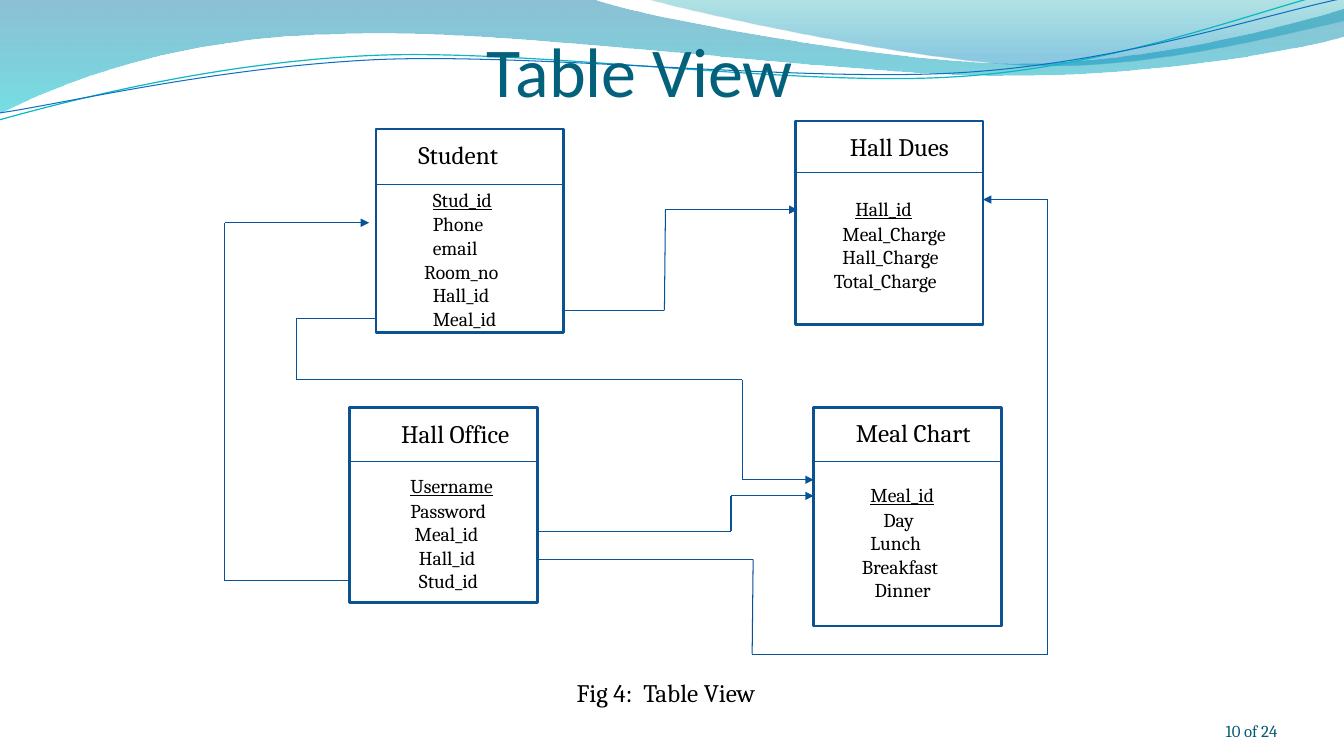
from itertools import pairwise

from lxml.etree import SubElement
from pptx import Presentation
from pptx.dml.color import RGBColor
from pptx.enum.shapes import MSO_CONNECTOR, MSO_SHAPE
from pptx.enum.text import MSO_ANCHOR, MSO_AUTO_SIZE, PP_ALIGN
from pptx.oxml.ns import qn
from pptx.util import Cm, Pt

COLORS = {"title": "04617B", "page": "045D75", "text": "000000",
          "box": "0B5292", "line": "095295", "teal": "0AB8BF", "blue": "0F6FC6",
          "deep": "0074A1", "aqua": "00C6CF", "lagoon": "00A1A9", "sky": "008BBF"}
SPACE = 0.0425  # indent step in inches


def inch(value):
    return Cm(value * 2.54)


class SlideBuilder:
    def __init__(self, deck, layout):
        self.slide = deck.slides.add_slide(deck.slide_layouts[layout])
        self.shapes = self.slide.shapes

    def color(self, name):
        return RGBColor.from_string(COLORS[name])

    def outline(self, shape, color, width):
        shape.line.color.rgb = self.color(color)
        shape.line.width = Pt(width)

    def wave(self, start, segments, line=None, width=0.75, stops=None):
        """Segments hold two numbers for a line, six for a cubic curve."""
        points = [(inch(x), inch(y)) for segment in segments
                  for x, y in zip(segment[::2], segment[1::2])]
        builder = self.shapes.build_freeform(*map(inch, start))
        builder.add_line_segments(points, close=bool(stops))
        shape = builder.convert_to_shape()
        shape.shadow.inherit = False
        steps = iter(list(shape.element.iter(qn("a:lnTo"))))
        for segment in segments:
            curve = next(steps)
            if len(segment) == 6:
                curve.tag = qn("a:cubicBezTo")
                for _ in range(2):
                    extra = next(steps)
                    curve.append(extra[0])
                    extra.getparent().remove(extra)
        if not stops:
            shape.fill.background()
            self.outline(shape, line, width)
            return
        shape.line.fill.background()
        shape.fill.gradient()
        shape.fill.gradient_angle = 270
        for stop, (position, color, _) in zip(shape.fill.gradient_stops, stops):
            stop.position = position
            stop.color.rgb = self.color(color)
        for element, (_, _, opacity) in zip(shape.element.iter(qn("a:srgbClr")), stops):
            SubElement(element, qn("a:alpha"), val=str(opacity * 1000))

    def box(self, left, top, width, height):
        shape = self.shapes.add_shape(MSO_SHAPE.RECTANGLE, *map(inch, (left, top, width, height)))
        shape.shadow.inherit = False
        shape.fill.background()
        self.outline(shape, "box", 2)

    def route(self, points, arrow=True):
        """Chain of straight lines with an arrowhead at its end."""
        for start, end in pairwise(points):
            line = self.shapes.add_connector(MSO_CONNECTOR.STRAIGHT, *map(inch, start + end))
            self.outline(line, "line", 0.75)
            SubElement(line.element.spPr, qn("a:effectLst"))
        if arrow:
            SubElement(line.line._get_or_add_ln(), qn("a:tailEnd"), type="triangle")

    def text(self, lines, place, size, color="text", font="Cambria", indents=(0,),
             placeholder=None, anchor=MSO_ANCHOR.TOP, align=PP_ALIGN.LEFT, inset=0.1):
        if placeholder is None:
            shape = self.shapes.add_textbox(*map(inch, place))
        else:
            shape = self.slide.placeholders[placeholder]
            shape.left, shape.top, shape.width, shape.height = map(inch, place)
            shape.element.getparent().append(shape.element)
        frame = shape.text_frame
        frame.text = "\n".join(lines)
        frame.word_wrap = True
        frame.auto_size = MSO_AUTO_SIZE.NONE
        frame.vertical_anchor = anchor
        frame.margin_left = frame.margin_right = inch(inset)
        frame.margin_top = frame.margin_bottom = inch(inset / 2)
        for para, indent in zip(frame.paragraphs, indents):
            para.alignment = align
            para.space_before = Pt(0)
            properties = para._p.get_or_add_pPr()
            properties.set("marL", str(inch(indent)))
            properties.set("indent", "0")
            SubElement(properties, qn("a:buNone"))
            for run in para.runs:
                run.font.name, run.font.size = font, Pt(size)
                run.font.bold = False
                run.font.color.rgb = self.color(color)
        return frame

    def entity(self, place, divider, name, name_at, fields, fields_at, placeholder):
        """Table box: heading, divider, and fields with the key underlined."""
        left, top, width, _ = place
        self.box(*place)
        self.route([(left, divider), (left + width, divider)], arrow=False)
        self.text([name], (*name_at, 1.75, 0.4), 18, indents=[0.22])
        frame = self.text([field for field, _ in fields], (*fields_at, 1.5, 1.53), 14,
                          indents=[steps * SPACE for _, steps in fields],
                          placeholder=placeholder)
        key, second = frame.paragraphs[:2]
        key.runs[0].font.underline = True
        second.space_before = Pt(1)


deck = Presentation()
deck.slide_width, deck.slide_height = inch(13.33), inch(7.5)
page = SlideBuilder(deck, 4)

# Waves at the top
page.wave((-0.01, 0), [
    (5.87, -0.01), (6.34, 0.17, 8.85, 0.63, 10.11, 0.63),
    (11.38, 0.63, 12.78, 0.26, 13.33, 0.09), (13.35, 0.36),
    (13.11, 0.44, 11.6, 0.76, 9.94, 0.75), (8.29, 0.75, 5.09, 0.28, 3.43, 0.34),
    (1.72, 0.36, 0.61, 0.83, -0.01, 1.13)],
    stops=[(0, "deep", 45), (1, "aqua", 55)])
page.wave((6.39, -0.01), [
    (6.79, 0.11, 9.09, 0.62, 10.25, 0.65), (11.41, 0.69, 12.82, 0.32, 13.33, 0.21),
    (13.33, 0)], stops=[(0, "lagoon", 30), (0.8, "sky", 45)])
page.wave((-0.01, 1.19), [
    (0.64, 1.01, 2.11, 0.62, 3.69, 0.55), (5.27, 0.48, 7.9, 0.87, 9.5, 0.76),
    (11.1, 0.66, 12.52, 0.08, 13.31, -0.1)], "teal", 0.85)
page.wave((0, 1.12), [
    (0.63, 1.03, 2.18, 0.66, 3.78, 0.59), (5.37, 0.53, 7.96, 0.82, 9.55, 0.72),
    (11.15, 0.62, 12.55, 0.14, 13.34, -0.02)], "blue")

# Title, page number and caption
page.text(["Table View"], (0.92, 0.25, 9.44, 0.86), 50, "title", "Calibri", [3.91],
          placeholder=0, anchor=MSO_ANCHOR.BOTTOM, inset=0)
page.text(["10 of 24"], (11.56, 6.95, 1.11, 0.4), 12, "page",
          anchor=MSO_ANCHOR.BOTTOM, align=PP_ALIGN.RIGHT, inset=0)
page.text(["Fig 4:  Table View"], (4.25, 6.67, 5.5, 0.4), 18, indents=[1.37])

# Entities: fields are paired with their indent steps
page.entity((3.73, 1.28, 1.86, 2.02), 1.83, "Student", (3.83, 1.33),
            [("Stud_id", 5), ("Phone", 5), ("email", 5), ("Room_no", 3),
             ("Hall_id", 5), ("Meal_id", 5)], (3.98, 1.81), 1)
page.entity((7.89, 1.2, 1.86, 2.02), 1.71, "Hall Dues", (8.11, 1.25),
            [("Hall_id", 5), ("Meal_Charge", 2), ("Hall_Charge", 2),
             ("Total_Charge", 0)], (8.17, 1.9), 2)
page.entity((3.47, 4.04, 1.86, 1.94), 4.58, "Hall Office", (3.66, 4.1),
            [("Username", 4), ("Password", 4), ("Meal_id", 5), ("Hall_id", 6),
             ("Stud_id", 6)], (3.8, 4.65), 3)
page.entity((8.07, 4.04, 1.86, 2.17), 4.58, "Meal Chart", (8.17, 4.09),
            [("Meal_id", 5), ("Day", 8), ("Lunch", 5), ("Breakfast", 3),
             ("Dinner", 6)], (8.32, 4.74), 4)

# Links between entities
for points in (
    [(5.59, 3.08), (6.59, 3.08), (6.6, 2.08), (7.91, 2.08)],
    [(3.47, 5.76), (2.23, 5.76), (2.23, 2.21), (3.66, 2.21)],
    [(5.33, 5.27), (7.25, 5.27), (7.25, 4.92), (8.07, 4.92)],
    [(3.73, 3.16), (2.94, 3.16), (2.94, 3.77), (7.36, 3.77), (7.36, 4.76), (8.07, 4.76)],
    [(5.33, 5.55), (7.47, 5.55), (7.46, 6.49), (10.39, 6.49), (10.39, 1.98), (9.75, 1.98)],
):
    page.route(points)

deck.save("out.pptx")
